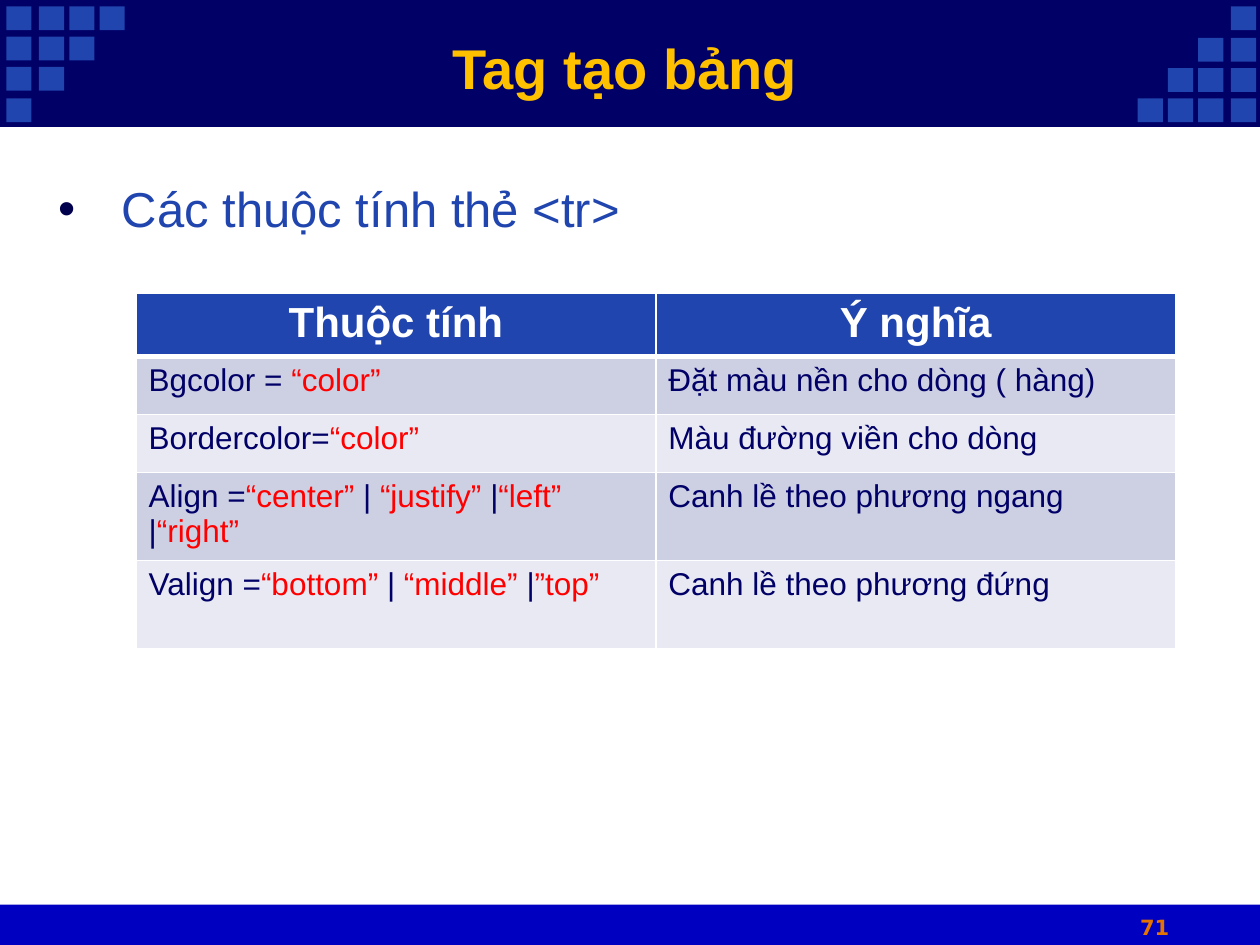
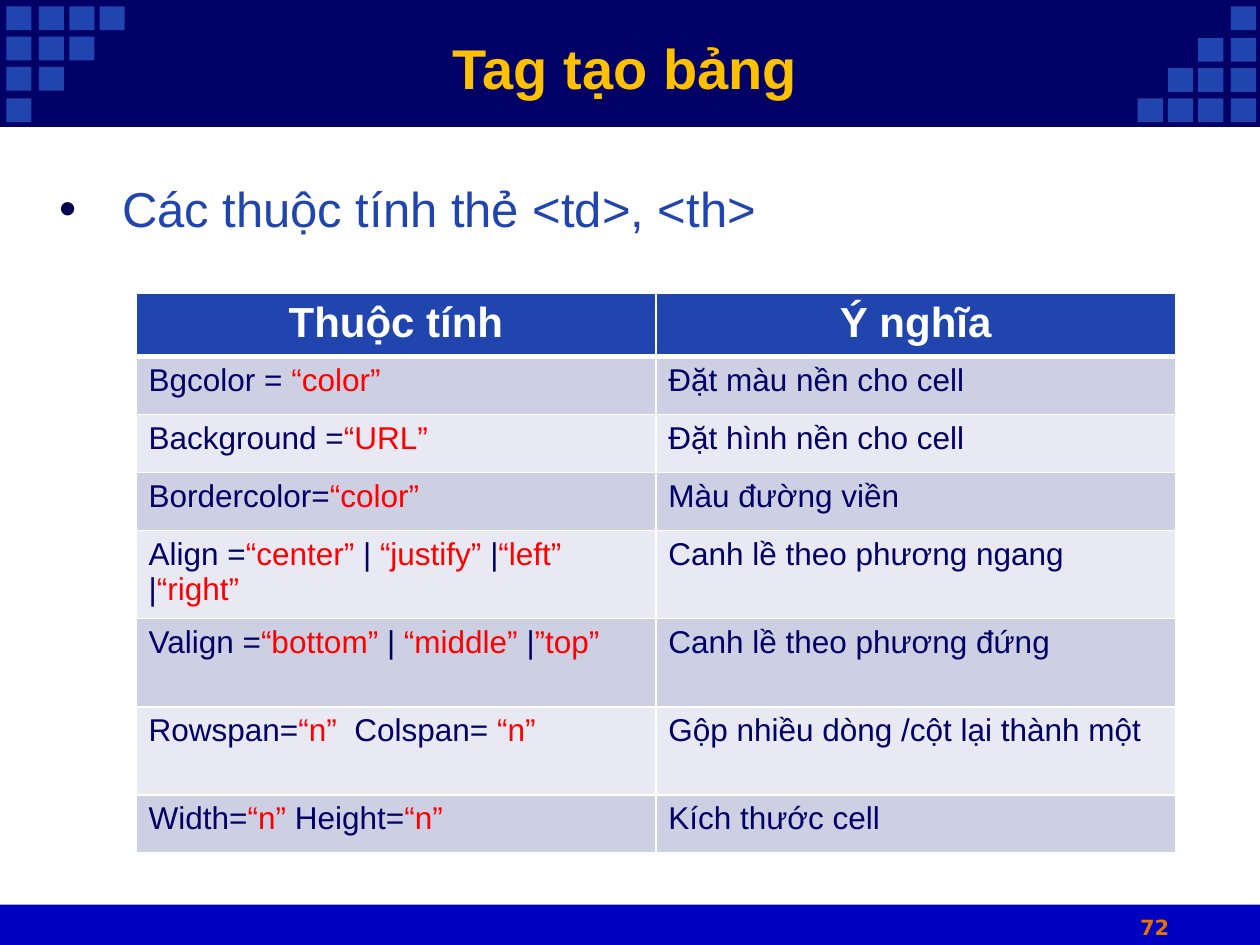
from lxml import etree
from pptx import Presentation
from pptx import util as u
from pptx.dml.color import RGBColor
from pptx.enum import shapes, text
from pptx.oxml.ns import qn

NAVY, ROYAL, BLUE = "000066", "0000C0", "2045AE"
GOLD, ORANGE, RED, WHITE = "FFC000", "E57300", "FF0000", "FFFFFF"
BULLET = "00004D"
STRIPES = ["CDCFE3", "E8E9F2"]
FONT = "Arial"

SHORT_ROW, TALL_ROW, HEADER_ROW = 0.46, 0.7, 0.5
HEADINGS = ["Thuộc tính", "Ý nghĩa"]

# Rows: pieces of the attribute (plain text and values alternate), meaning, height
BGCOLOR = ["Bgcolor = ", "“color”"]
BORDERCOLOR = ["Bordercolor=", "“color”"]
ALIGN_ROW = (["Align =", "“center” ", "|", " “justify” ", "|", "“left” ", "|", "“right”"],
             "Canh lề theo phương ngang", TALL_ROW)
VALIGN_ROW = (["Valign =", "“bottom”", " | ", "“middle”", " |", "”top”"],
              "Canh lề theo phương đứng", TALL_ROW)

TR_ROWS = [
    (BGCOLOR, "Đặt màu nền cho dòng ( hàng)", SHORT_ROW),
    (BORDERCOLOR, "Màu đường viền cho dòng", SHORT_ROW),
    ALIGN_ROW,
    VALIGN_ROW,
]
CELL_ROWS = [
    (BGCOLOR, "Đặt màu nền cho cell", SHORT_ROW),
    (["Background =", "“URL”"], "Đặt hình nền cho cell", SHORT_ROW),
    (BORDERCOLOR, "Màu đường viền", SHORT_ROW),
    ALIGN_ROW,
    VALIGN_ROW,
    (["Rowspan=", "“n”  ", "Colspan= ", "“n”"],
     "Gộp nhiều dòng /cột lại thành một", TALL_ROW),
    (["Width=", "“n”", " Height=", "“n”"], "Kích thước cell", SHORT_ROW),
]


def color(value):
    return RGBColor.from_string(value)


def box(*lengths):
    return [u.Inches(length) for length in lengths]


def write(paragraph, content, size=18, fill=NAVY, bold=False, font=FONT, align=None):
    """Add one formatted run to a paragraph."""
    run = paragraph.add_run()
    run.text = content
    run.font.size = u.Pt(size)
    run.font.name = font
    run.font.bold = bold
    run.font.color.rgb = color(fill)
    if align is not None:
        paragraph.alignment = align


def add_rectangle(slide, left, top, width, height, fill):
    shape = slide.shapes.add_shape(shapes.MSO_SHAPE.RECTANGLE, *box(left, top, width, height))
    shape.shadow.inherit = False
    shape.fill.solid()
    shape.fill.fore_color.rgb = color(fill)
    shape.line.fill.background()
    return shape


def add_text_box(slide, left, top, width, height):
    shape = slide.shapes.add_textbox(*box(left, top, width, height))
    shape.text_frame.word_wrap = True
    return shape.text_frame.paragraphs[0]


def add_frame(slide, number):
    """Draw the bands, the corner squares and the slide number."""
    add_rectangle(slide, 0, 7.18, 10, 0.33, ROYAL)
    band = add_rectangle(slide, 0, 0, 10, 1, NAVY)
    band.line.color.rgb = color(NAVY)
    band.line.width = u.Pt(0.75)

    # The right corner is the left one turned by half a circle
    lefts, tops = [0.05, 0.31, 0.55, 0.79], [0.05, 0.29, 0.53, 0.78]
    for row, top in enumerate(tops):
        for left in lefts[:len(lefts) - row]:
            add_rectangle(slide, left, top, 0.2, 0.19, BLUE)
            add_rectangle(slide, 9.82 - left, 0.83 - top, 0.2, 0.19, BLUE)

    write(add_text_box(slide, 8.83, 7.21, 0.67, 0.29), str(number), size=12, fill=ORANGE,
          bold=True, font="DejaVu Sans", align=text.PP_ALIGN.CENTER)


def set_title(slide, content):
    title = slide.shapes.title
    title.left, title.top, title.width, title.height = box(0.92, 0.22, 8.08, 0.62)
    frame = title.text_frame
    frame.auto_size = text.MSO_AUTO_SIZE.NONE
    frame.vertical_anchor = text.MSO_ANCHOR.MIDDLE
    write(frame.paragraphs[0], content, size=32, fill=GOLD, bold=True,
          align=text.PP_ALIGN.CENTER)
    # Bring the title in front of the band
    title.element.getparent().append(title.element)


def add_bullet(slide, content, width):
    paragraph = add_text_box(slide, 0.37, 1.42, width, 0.83)
    properties = paragraph._p.get_or_add_pPr()
    properties.set("marL", str(u.Inches(0.5)))
    properties.set("indent", str(-u.Inches(0.5)))
    bullet_color = etree.SubElement(properties, qn("a:buClr"))
    etree.SubElement(bullet_color, qn("a:srgbClr"), val=BULLET)
    etree.SubElement(properties, qn("a:buFont"), typeface=FONT)
    etree.SubElement(properties, qn("a:buChar"), char="•")
    paragraph.line_spacing = 0.9
    write(paragraph, content, size=28, fill=BLUE, align=text.PP_ALIGN.JUSTIFY)


def format_cell(cell, fill, top=1, bottom=1):
    """Set white borders (widths in points), then the fill."""
    properties = cell._tc.get_or_add_tcPr()
    for side, width in (("L", 1), ("R", 1), ("T", top), ("B", bottom)):
        line = etree.SubElement(properties, qn(f"a:ln{side}"), w=str(u.Pt(width)))
        solid = etree.SubElement(line, qn("a:solidFill"))
        etree.SubElement(solid, qn("a:srgbClr"), val=WHITE)
    cell.fill.solid()
    cell.fill.fore_color.rgb = color(fill)


def add_attribute_table(slide, rows):
    heights = [HEADER_ROW] + [height for _, _, height in rows]
    table = slide.shapes.add_table(len(heights), 2, *box(1.08, 2.33, 8.25, sum(heights))).table
    for column in table.columns:
        column.width = u.Inches(4.125)
    for row, height in zip(table.rows, heights):
        row.height = u.Inches(height)

    for column, heading in enumerate(HEADINGS):
        cell = table.cell(0, column)
        format_cell(cell, BLUE, bottom=3)
        write(cell.text_frame.paragraphs[0], heading, size=24, fill=WHITE, bold=True,
              align=text.PP_ALIGN.CENTER)

    for index, (pieces, meaning, _) in enumerate(rows):
        for column, runs in enumerate([pieces, [meaning]]):
            cell = table.cell(index + 1, column)
            format_cell(cell, STRIPES[index % 2], top=3 if index == 0 else 1)
            for position, piece in enumerate(runs):
                write(cell.text_frame.paragraphs[0], piece, fill=RED if position % 2 else NAVY)


def add_attribute_slide(presentation, number, subject, subject_width, rows):
    slide = presentation.slides.add_slide(presentation.slide_layouts[5])
    add_frame(slide, number)
    set_title(slide, "Tag tạo bảng")
    add_bullet(slide, subject, subject_width)
    add_attribute_table(slide, rows)


def main():
    presentation = Presentation()
    presentation.slide_width, presentation.slide_height = box(10, 7.5)
    add_attribute_slide(presentation, 71, "Các thuộc tính thẻ <tr>", 5.46, TR_ROWS)
    add_attribute_slide(presentation, 72, "Các thuộc tính thẻ <td>, <th>", 6.05, CELL_ROWS)
    presentation.save("out.pptx")


if __name__ == "__main__":
    main()
